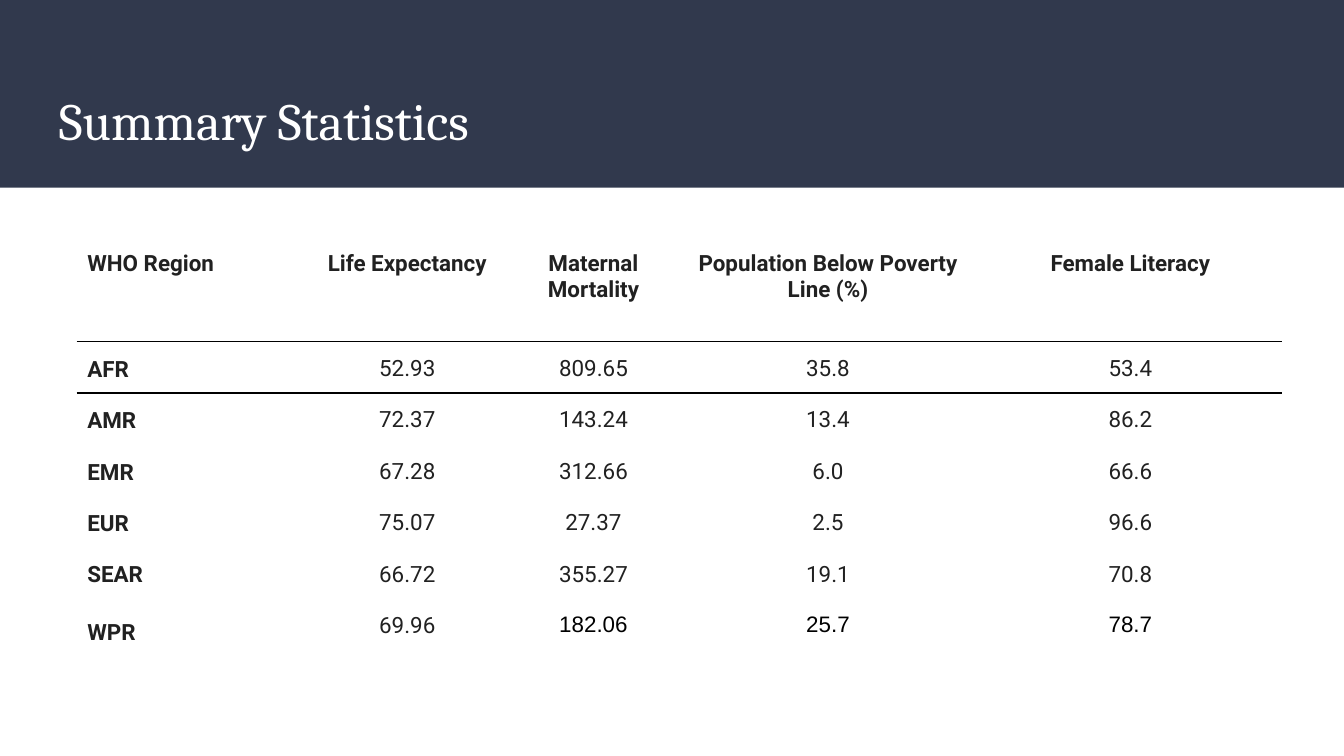
from lxml import etree
from pptx import Presentation
from pptx.dml.color import RGBColor
from pptx.enum.shapes import MSO_SHAPE
from pptx.enum.text import MSO_ANCHOR, PP_ALIGN
from pptx.oxml.ns import qn
from pptx.util import Pt

RECTANGLE = MSO_SHAPE.RECTANGLE
TOP, MIDDLE = MSO_ANCHOR.TOP, MSO_ANCHOR.MIDDLE
LEFT, CENTER = PP_ALIGN.LEFT, PP_ALIGN.CENTER

COLORS = {"band": "31394D", "title": "FFFFFF", "body": "212121", "black": "000000"}

TITLE = "Summary Statistics"
HEADINGS = ["WHO Region", "Life Expectancy", "Maternal Mortality",
            "Population Below Poverty Line (%)", "Female Literacy"]
REGIONS = [
    ("AFR", "52.93", "809.65", "35.8", "53.4"),
    ("AMR", "72.37", "143.24", "13.4", "86.2"),
    ("EMR", "67.28", "312.66", "6.0", "66.6"),
    ("EUR", "75.07", "27.37", "2.5", "96.6"),
    ("SEAR", "66.72", "355.27", "19.1", "70.8"),
    ("WPR", "69.96", "182.06", "25.7", "78.7"),
]
STATISTICS = [HEADINGS, *REGIONS]
LAST_ROW = len(STATISTICS) - 1

SLIDE_WIDTH, SLIDE_HEIGHT = 720, 405
BAND_HEIGHT = 100.5
TABLE_LEFT, TABLE_TOP = 41.4, 129
COLUMN_WIDTHS = [121.7, 110.2, 89.3, 162, 162]
ROW_HEIGHTS = [54] + [27.6] * (len(REGIONS) - 1) + [33.8]
RULED_SIDES = {0: ["lnB"], 1: ["lnT", "lnB"], 2: ["lnT"]}

TITLE_FONT = {"name": "Cambria", "size": Pt(28), "bold": False}
BODY_FONT = {"name": "Roboto", "size": Pt(12), "bold": False}
LABEL_FONT = {**BODY_FONT, "bold": True}
LATE_FONT = {**BODY_FONT, "name": "Arial"}


def apply(target, formats):
    for attribute, value in formats.items():
        setattr(target, attribute, value)


def margins(inset):
    return {f"margin_{side}": Pt(inset) for side in ("left", "right", "top", "bottom")}


def write(paragraph, text, font, color):
    run = paragraph.add_run()
    run.text = text
    apply(run.font, font)
    run.font.color.rgb = RGBColor.from_string(COLORS[color])


def rule(cell, sides):
    properties = cell._tc.get_or_add_tcPr()
    for position, side in enumerate(sides):
        line = etree.Element(qn(f"a:{side}"), w=str(Pt(0.75)))
        fill = etree.SubElement(line, qn("a:solidFill"))
        etree.SubElement(fill, qn("a:srgbClr"), val=COLORS["black"])
        properties.insert(position, line)


def fill_cell(cell, text, row, column):
    label = row == 0 or column == 0
    late = row == LAST_ROW and column > 1
    font = LABEL_FONT if label else LATE_FONT if late else BODY_FONT
    apply(cell, margins(7.2 if late else 5.4))
    cell.vertical_anchor = MIDDLE if row and column == 0 else TOP
    cell.fill.background()
    paragraph = cell.text_frame.paragraphs[0]
    paragraph.alignment = CENTER if column else LEFT
    paragraph.line_spacing = 1.15 if row and not late else 1.0
    write(paragraph, text, font, "black" if late else "body")
    rule(cell, RULED_SIDES.get(row, []))


def main():
    deck = Presentation()
    apply(deck, {"slide_width": Pt(SLIDE_WIDTH), "slide_height": Pt(SLIDE_HEIGHT)})
    slide = deck.slides.add_slide(deck.slide_layouts[6])

    band = slide.shapes.add_shape(RECTANGLE, 0, 0, Pt(SLIDE_WIDTH), Pt(BAND_HEIGHT))
    band.shadow.inherit = False
    band.fill.solid()
    band.fill.fore_color.rgb = RGBColor.from_string(COLORS["band"])
    band.line.fill.background()

    title = slide.shapes.add_textbox(Pt(24.5), Pt(39.6), Pt(671), Pt(49)).text_frame
    apply(title, {**margins(7.2), "word_wrap": True, "vertical_anchor": MIDDLE})
    write(title.paragraphs[0], TITLE, TITLE_FONT, "title")

    table = slide.shapes.add_table(
        len(STATISTICS), len(HEADINGS), Pt(TABLE_LEFT), Pt(TABLE_TOP),
        Pt(sum(COLUMN_WIDTHS)), Pt(sum(ROW_HEIGHTS))).table
    apply(table, {"first_row": False, "horz_banding": False})
    for column, width in zip(table.columns, COLUMN_WIDTHS):
        column.width = Pt(width)
    for row, height in zip(table.rows, ROW_HEIGHTS):
        row.height = Pt(height)
    for row, entries in enumerate(STATISTICS):
        for column, text in enumerate(entries):
            fill_cell(table.cell(row, column), text, row, column)

    deck.save("out.pptx")


if __name__ == "__main__":
    main()
